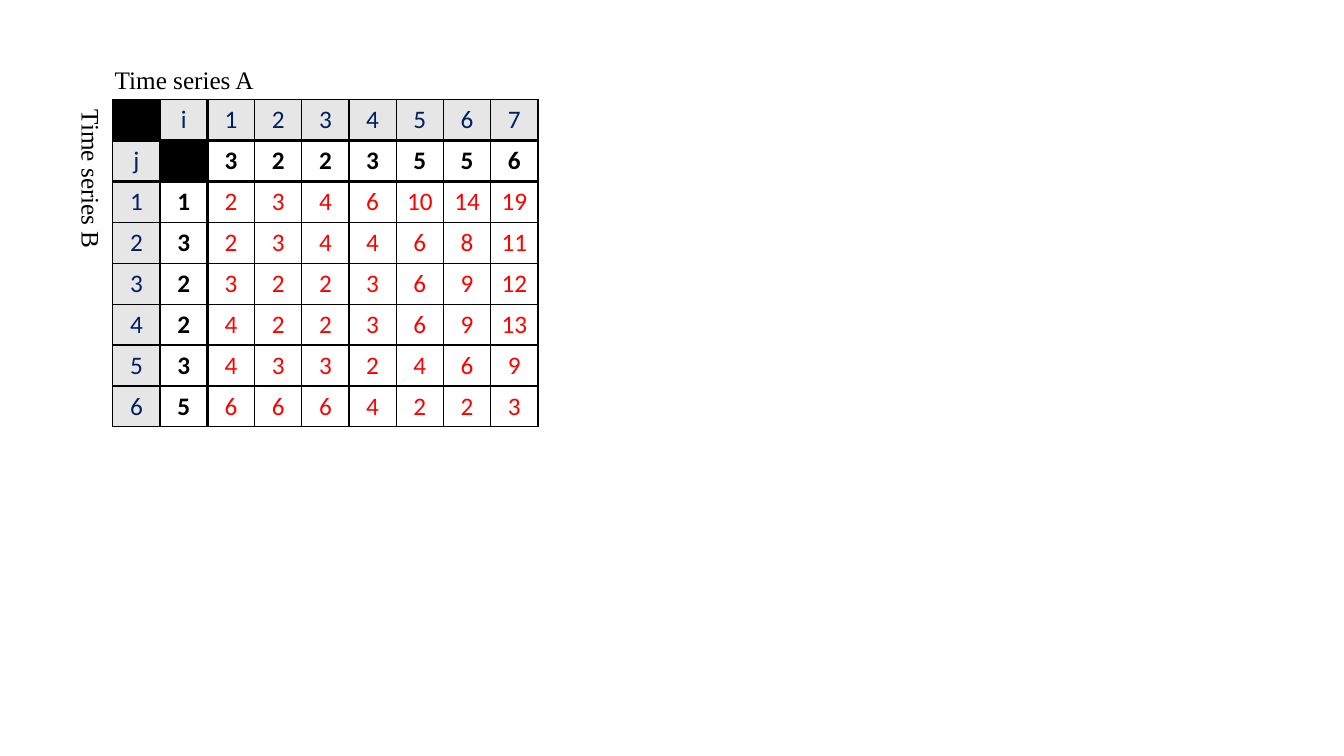
from dataclasses import dataclass
from itertools import product
from typing import Any

from lxml.etree import SubElement
from pptx import Presentation
from pptx.dml.color import RGBColor
from pptx.enum.text import MSO_ANCHOR, MSO_AUTO_SIZE, PP_ALIGN
from pptx.oxml.ns import qn
from pptx.util import Pt


@dataclass(frozen=True)
class Theme:
    ink: str = "000000"
    index: str = "002060"
    cost: str = "FF0000"
    shade: str = "E7E6E6"
    size: float = 18
    thin: float = 1
    thick: float = 2.25
    sans: str = "Calibri"
    serif: str = "Times New Roman"


@dataclass(frozen=True)
class Label:
    text: str
    left: float
    top: float
    width: float
    height: float
    turn: str = "horz"


THEME = Theme()
LABELS = [
    Label("Time series A", 74.88, 42.48, 115.2, 28.8),
    Label("Time series B", 43.92, 71.28, 36, 107.28, "eaVert"),
]
SERIES_A = [3, 2, 2, 3, 5, 5, 6]
SERIES_B = [1, 3, 2, 2, 3, 5]
COSTS = [
    [2, 3, 4, 6, 10, 14, 19],
    [2, 3, 4, 4, 6, 8, 11],
    [3, 2, 2, 3, 6, 9, 12],
    [4, 2, 2, 3, 6, 9, 13],
    [4, 3, 3, 2, 4, 6, 9],
    [6, 6, 6, 4, 2, 2, 3],
]
GRID = [
    ["", "i", *range(1, len(SERIES_A) + 1)],
    ["j", "", *SERIES_A],
    *([num, value, *costs] for num, (value, costs) in enumerate(zip(SERIES_B, COSTS), 1)),
]
CELL_WIDTH, CELL_HEIGHT = 33.76, 29.2
HEAVY_EDGES = (1, 2)


def apply(target: Any, values: dict[str, Any]) -> None:
    for name, value in values.items():
        setattr(target, name, value)


def style(font: Any, face: str, color: str, bold: bool = False) -> None:
    apply(font, {"name": face, "size": Pt(THEME.size), "bold": bold})
    font.color.rgb = RGBColor.from_string(color)


def add_edges(props: Any, row: int, col: int) -> None:
    edges = {"L": col, "R": col + 1, "T": row, "B": row + 1}
    for side, edge in edges.items():
        width = THEME.thick if edge in HEAVY_EDGES else THEME.thin
        line = SubElement(props, qn(f"a:ln{side}"), w=str(Pt(width)))
        fill = SubElement(line, qn("a:solidFill"))
        SubElement(fill, qn("a:srgbClr"), val=THEME.ink)


def fill_cell(cell: Any, row: int, col: int) -> None:
    level = min(row, col)
    text = str(GRID[row][col])
    apply(cell, {"text": text, "vertical_anchor": MSO_ANCHOR.MIDDLE})
    para = cell.text_frame.paragraphs[0]
    para.alignment = PP_ALIGN.CENTER
    color = (THEME.index, THEME.ink, THEME.cost)[min(level, 2)]
    style(para.font, THEME.sans, color, level == 1)
    if not text or level == 0:
        cell.fill.solid()
        shade = THEME.shade if text else THEME.ink
        cell.fill.fore_color.rgb = RGBColor.from_string(shade)
    else:
        cell.fill.background()


def add_matrix(slide: Any) -> None:
    rows, cols = len(GRID), len(GRID[0])
    frame = slide.shapes.add_table(
        rows, cols, Pt(80.64), Pt(71.28), Pt(cols * CELL_WIDTH), Pt(rows * CELL_HEIGHT)
    )
    table = frame.table
    apply(table, {"first_row": False, "horz_banding": False})
    for column in table.columns:
        column.width = Pt(CELL_WIDTH)
    for line in table.rows:
        line.height = Pt(CELL_HEIGHT)
    nodes = frame.element.iter(qn("a:tc"))
    for (row, col), node in zip(product(range(rows), range(cols)), nodes):
        add_edges(node.get_or_add_tcPr(), row, col)
        fill_cell(table.cell(row, col), row, col)


def add_label(slide: Any, label: Label) -> None:
    sizes = (label.left, label.top, label.width, label.height)
    box = slide.shapes.add_textbox(*map(Pt, sizes))
    frame = box.text_frame
    apply(frame, {
        "text": label.text,
        "word_wrap": False,
        "auto_size": MSO_AUTO_SIZE.SHAPE_TO_FIT_TEXT,
    })
    style(frame.paragraphs[0].runs[0].font, THEME.serif, THEME.ink)
    box.element.find(f".//{qn('a:bodyPr')}").set("vert", label.turn)


def main() -> None:
    deck = Presentation()
    apply(deck, {"slide_width": Pt(960), "slide_height": Pt(540)})
    slide = deck.slides.add_slide(deck.slide_layouts[6])
    add_matrix(slide)
    for label in LABELS:
        add_label(slide, label)
    deck.save("out.pptx")


main()
